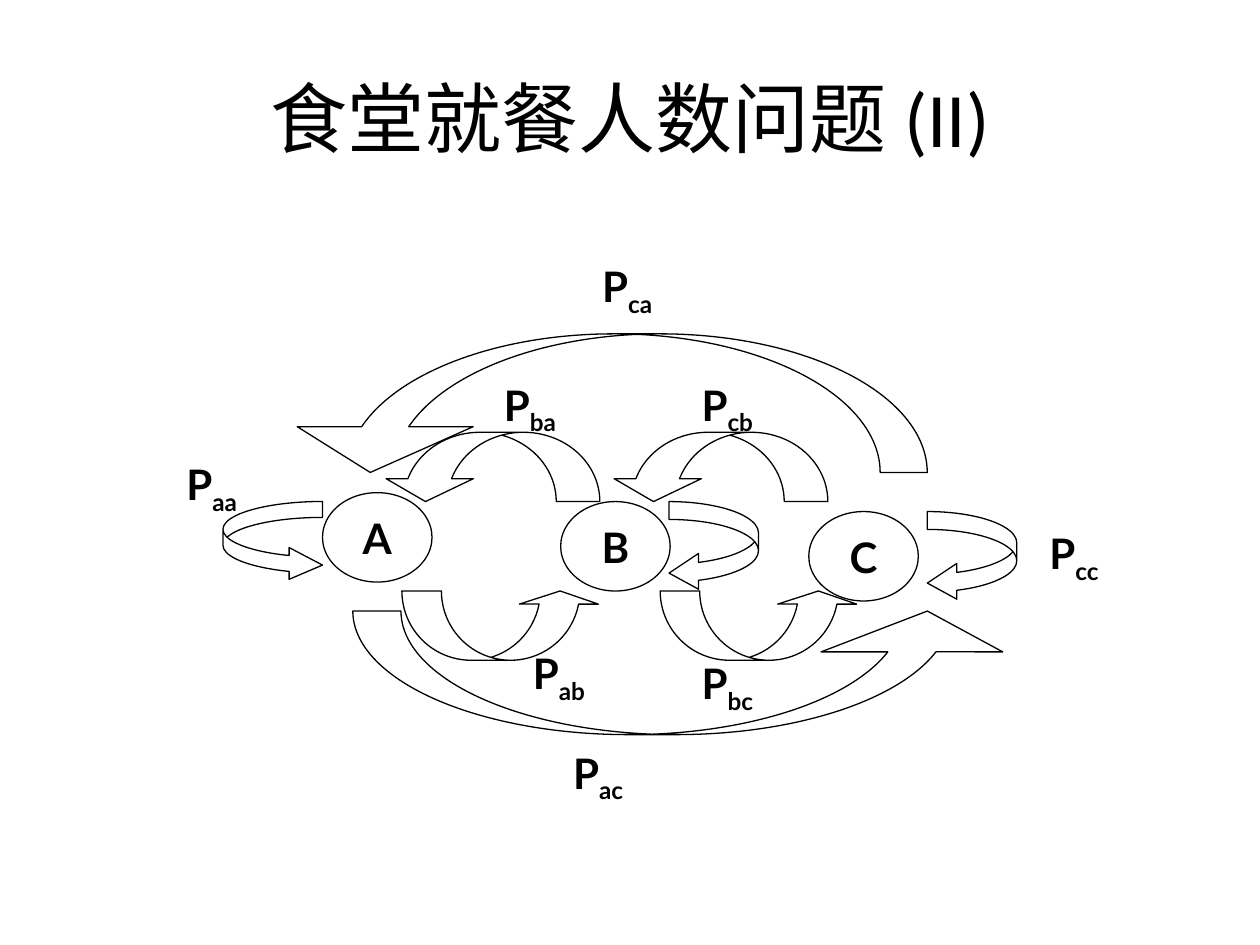
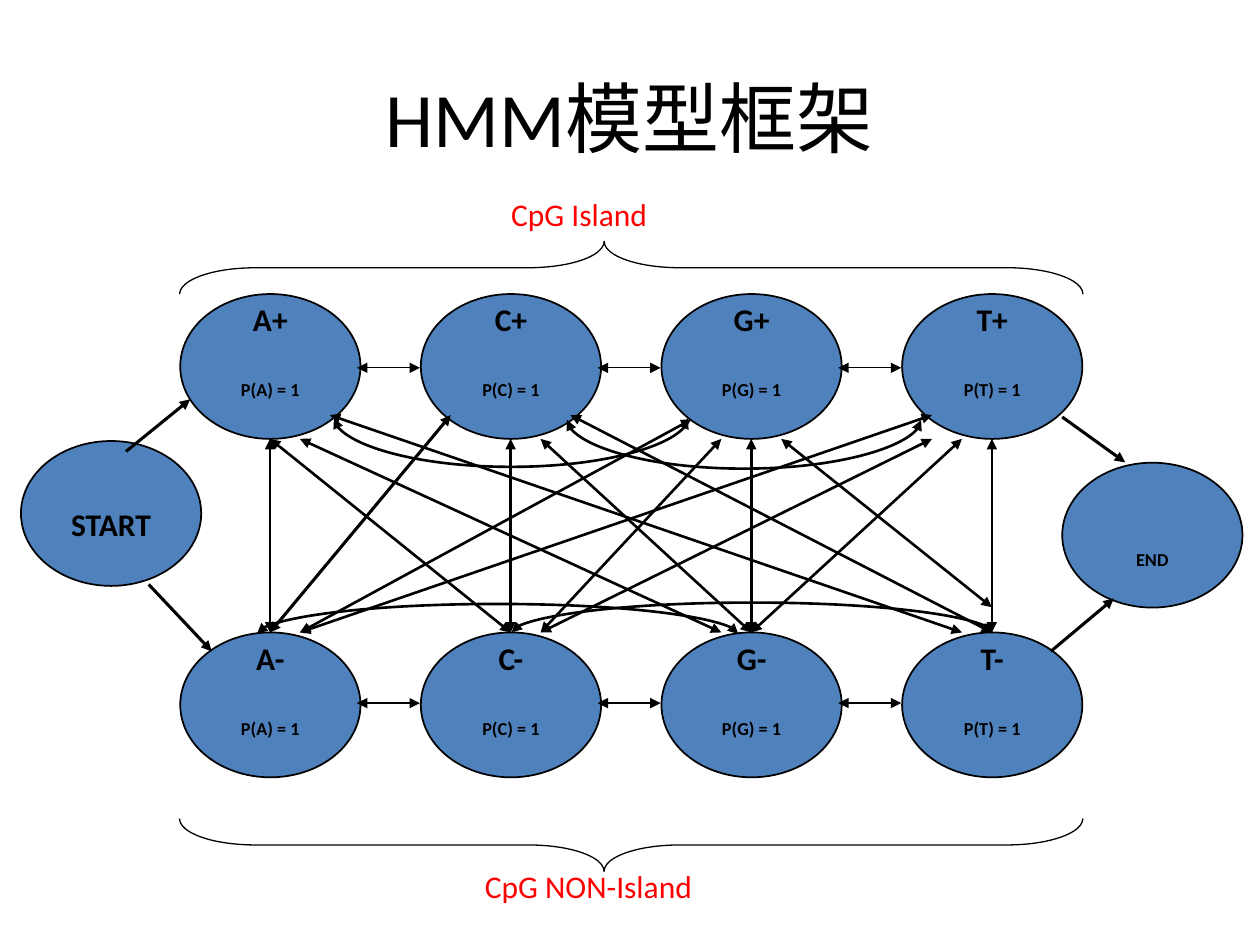
from dataclasses import dataclass
from itertools import product

from lxml.etree import SubElement
from pptx import Presentation
from pptx.dml.color import RGBColor
from pptx.enum.shapes import MSO_CONNECTOR, MSO_SHAPE
from pptx.enum.text import MSO_ANCHOR, PP_ALIGN
from pptx.oxml.ns import qn
from pptx.util import Pt


@dataclass(frozen=True)
class Theme:
    """Colours, fonts and sizes shared by the slides."""
    ink: RGBColor = RGBColor(0, 0, 0)
    blue: RGBColor = RGBColor(0x4F, 0x81, 0xBD)
    red: RGBColor = RGBColor(0xFF, 0, 0)
    font: str = "Calibri"
    label: str = "Lato"
    title: float = 44
    big: float = 24
    body: float = 18
    thin: float = 0.75
    edge: float = 1
    mid: float = 1.5
    thick: float = 1.75


THEME = Theme()
TITLE = (36, 21.6, 648, 90)


def pts(*nums):
    """Turn numbers into point lengths."""
    return [Pt(round(num, 2)) for num in nums]


def style(para, size, bold=False, color=THEME.ink, font=THEME.font, align=None):
    """Set the font and alignment of a paragraph."""
    para.alignment = align
    para.font.size = Pt(size)
    para.font.bold = bold
    para.font.name = font
    para.font.color.rgb = color


def write(para, text, sub=""):
    """Add text and a lowered part to a paragraph."""
    if text:
        para.add_run().text = text
    if sub:
        run = para.add_run()
        run.text = sub
        run._r.get_or_add_rPr().set("baseline", "-25000")


def frame(slide, box):
    """Add an empty wrapping text box and return its text frame."""
    text = slide.shapes.add_textbox(*pts(*box)).text_frame
    text.word_wrap = True
    return text


def shape(slide, kind, box, adj=(), flip=None, fill=None, width=THEME.thin):
    """Add an outlined preset shape."""
    item = slide.shapes.add_shape(kind, *pts(*box))
    item.shadow.inherit = False
    for num, value in enumerate(adj):
        item.adjustments[num] = value
    if fill is None:
        item.fill.background()
    else:
        item.fill.solid()
        item.fill.fore_color.rgb = fill
    item.line.color.rgb = THEME.ink
    item.line.width = Pt(width)
    if flip:
        item.element.spPr.find(qn("a:xfrm")).set(flip, "1")
    return item


def link(slide, start, end, width, both=True, kind=MSO_CONNECTOR.STRAIGHT):
    """Add a connector with an arrowhead at its end, or at both ends."""
    line = slide.shapes.add_connector(kind, *pts(*start, *end))
    line.line.color.rgb = THEME.ink
    line.line.width = Pt(width)
    props = line.element.spPr
    for tip in ("a:headEnd", "a:tailEnd") if both else ("a:tailEnd",):
        SubElement(props.find(qn("a:ln")), qn(tip), type="triangle")
    SubElement(props, qn("a:effectLst"))
    return line


def bow(slide, x, y, span, depth):
    """Add a level curve that sags by depth, or rises if depth is negative."""
    slim = 0.12
    left, top = x + span / 2 - slim / 2, y - span / 2
    line = link(slide, (left, top), (left + slim, top + span), THEME.mid,
                kind=MSO_CONNECTOR.CURVE)
    form = line.element.spPr.find(qn("a:xfrm"))
    turn, flip = (270, "flipH") if depth > 0 else (90, "flipV")
    form.set("rot", str(turn * 60000))
    form.set(flip, "1")
    guides = line.element.spPr.find(qn("a:prstGeom")).find(qn("a:avLst"))
    bend = round(depth / slim * 100000)
    SubElement(guides, qn("a:gd"), name="adj1", fmla=f"val {bend}")


def title(slide, box, text):
    """Add the slide title."""
    body = frame(slide, box)
    body.vertical_anchor = MSO_ANCHOR.MIDDLE
    write(body.paragraphs[0], text)
    style(body.paragraphs[0], THEME.title, align=PP_ALIGN.CENTER)


def chain(slide, x, y):
    """Draw the three halls and the moves between them."""
    nodes = {"A": (85.3, 136.5), "B": (221.4, 141.6), "C": (363.2, 147.3)}
    for name, (dx, dy) in nodes.items():
        body = shape(slide, MSO_SHAPE.OVAL, (x + dx, y + dy, 62.6, 51.1)).text_frame
        body.word_wrap = False
        body.vertical_anchor = MSO_ANCHOR.MIDDLE
        write(body.paragraphs[0], name)
        style(body.paragraphs[0], THEME.big, True, font=THEME.label,
              align=PP_ALIGN.CENTER)

    down, up = MSO_SHAPE.CURVED_DOWN_ARROW, MSO_SHAPE.CURVED_UP_ARROW
    left, right = MSO_SHAPE.CURVED_LEFT_ARROW, MSO_SHAPE.CURVED_RIGHT_ARROW
    ahead = (up, (113, 39.6), (0.57, 1.14, 0.19), None)
    back = (down, (124.6, 39.6), (0.63, 1.26, 0.33), "flipH")
    loop = (left, (51.1, 51.1), (0.2, 0.4, 0.33), None)
    moves = [
        (130.7, 192.7, ahead), (278.3, 192.7, ahead),
        (119.2, 102, back), (249.5, 102, back),
        (283.3, 141.6, loop), (430.9, 147.3, loop),
        (28.4, 141.6, (right, (56.9, 45.4), (0.2, 0.4, 0.42), None)),
        (102.6, 204.2, (down, (380.2, 70.6), (0.39, 1.47, 0.33), "flipV")),
        (62.3, 45.8, (down, (368.6, 79.2), (0.34, 1.27, 0.33), "flipH")),
    ]
    for dx, dy, (kind, size, adj, flip) in moves:
        shape(slide, kind, (x + dx, y + dy, *size), adj, flip)

    names = {
        "ac": (221.4, 278.4), "ca": (238, 0.4), "cc": (493.6, 153.1),
        "aa": (0.4, 113.5), "ab": (198.4, 221.5), "bc": (294.8, 227.2),
        "ba": (181.8, 68.1), "cb": (294.8, 68.1),
    }
    for sub, (dx, dy) in names.items():
        para = frame(slide, (x + dx, y + dy, 51, 36)).paragraphs[0]
        write(para, "P", sub)
        style(para, THEME.big, True, font=THEME.label)


def state(slide, x, y, rows, drop=0):
    """Draw one filled state with its centred lines of text."""
    wide, high = 103, 82.8
    shape(slide, MSO_SHAPE.OVAL, (x, y, wide, high), fill=THEME.blue,
          width=THEME.edge)
    body = frame(slide, (x, y + drop, wide, high - drop))
    for num, row in enumerate(rows):
        para = body.add_paragraph() if num else body.paragraphs[0]
        write(para, *row)
        if num:
            para.space_before = Pt(11)
        style(para, THEME.body, True, align=PP_ALIGN.CENTER)


def model(slide, x, y):
    """Draw the states of both rows and every link among them."""
    step, first, low, foot = 137.5, 91, 193.4, 82.8
    for (col, base), (sign, dy) in product(enumerate("ACGT"), (("+", 0), ("-", low))):
        state(slide, x + first + col * step, y + dy,
              [(base + sign,), ("", f"P({base}) = 1")])
    state(slide, x, y + 84, [("START",)], 33)
    state(slide, x + 595, y + 96.4, [("", "END")], 33)

    def spot(col, shift, dy):
        """Give a point beside the middle of a column."""
        return x + first + 51.3 + col * step + shift * 17.1, y + dy

    side = 69.2
    cross = [(col, 0, foot, col, 0, low, THEME.mid) for col in range(4)] + [
        (0, 0, foot, 1, 0, low, THEME.mid),
        (0, 1, foot, 2, -1, low, THEME.mid),
        (0, 2, side, 3, -1, low, THEME.mid),
        (1, -2, side, 0, 0, low, THEME.thick),
        (1, 1, foot, 2, 0, low, THEME.mid),
        (1, 2, side, 3, 0, low, THEME.mid),
        (2, -2, side + 2.5, 0, 1, low, THEME.mid),
        (2, -1, foot, 1, 1, low, THEME.mid),
        (2, 1, foot, 3, 0, low - 14.4, THEME.mid),
        (3, -1, foot, 2, 0, low, THEME.mid),
        (3, -2, foot, 1, 1, low, THEME.mid),
        (3, -2, side, 0, 1, low, THEME.mid),
    ]
    for *ends, width in cross:
        link(slide, spot(*ends[:3]), spot(*ends[3:]), width)
    for col, dy in product(range(3), (42.2, 233.8)):
        left = x + 192 + col * step
        link(slide, (left, y + dy), (left + 36, y + dy), THEME.thin)
    for x1, y1, x2, y2 in ((60, 90, 96.7, 60.2), (73, 166, 109, 204.2),
                           (595, 70.3, 631, 96.2), (588.5, 204.2, 624.5, 174)):
        link(slide, (x + x1, y + y1), (x + x2, y + y2), THEME.thick, both=False)
    for dx, dy, span, depth in ((178.8, 71, 202.3, 29.5), (312, 72, 202.3, 29.5),
                                (280.3, low, 275, -18), (134.9, 194.2, 275, -18)):
        bow(slide, x + dx, y + dy, span, depth)


def islands(slide, x, y):
    """Bracket and name the upper and lower rows."""
    rows = [
        ("CpG Island", 273, -60, 150, -15, 90, 0.53),
        ("CpG NON-Island", 258, 323.8, 204, 314.8, 270, 0.47),
    ]
    wide, long = 30.2, 516.2
    for text, dx, dy, width, mid, turn, tip in rows:
        box = (x + 348.7 - wide / 2, y + mid - long / 2, wide, long)
        shape(slide, MSO_SHAPE.LEFT_BRACE, box, (1.43, tip)).rotation = turn
        para = frame(slide, (x + dx, y + dy, width, 36)).paragraphs[0]
        write(para, text)
        style(para, THEME.body, color=THEME.red)


def main():
    """Build and save the two slides."""
    deck = Presentation()
    deck.slide_width, deck.slide_height = pts(720, 540)
    blank = deck.slide_layouts[6]
    halls = deck.slides.add_slide(blank)
    title(halls, TITLE, "食堂就餐人数问题 (II)")
    chain(halls, 99, 145)
    hmm = deck.slides.add_slide(blank)
    title(hmm, TITLE, "HMM模型框架")
    model(hmm, 12, 168)
    islands(hmm, 12, 168)
    deck.save("out.pptx")


if __name__ == "__main__":
    main()
